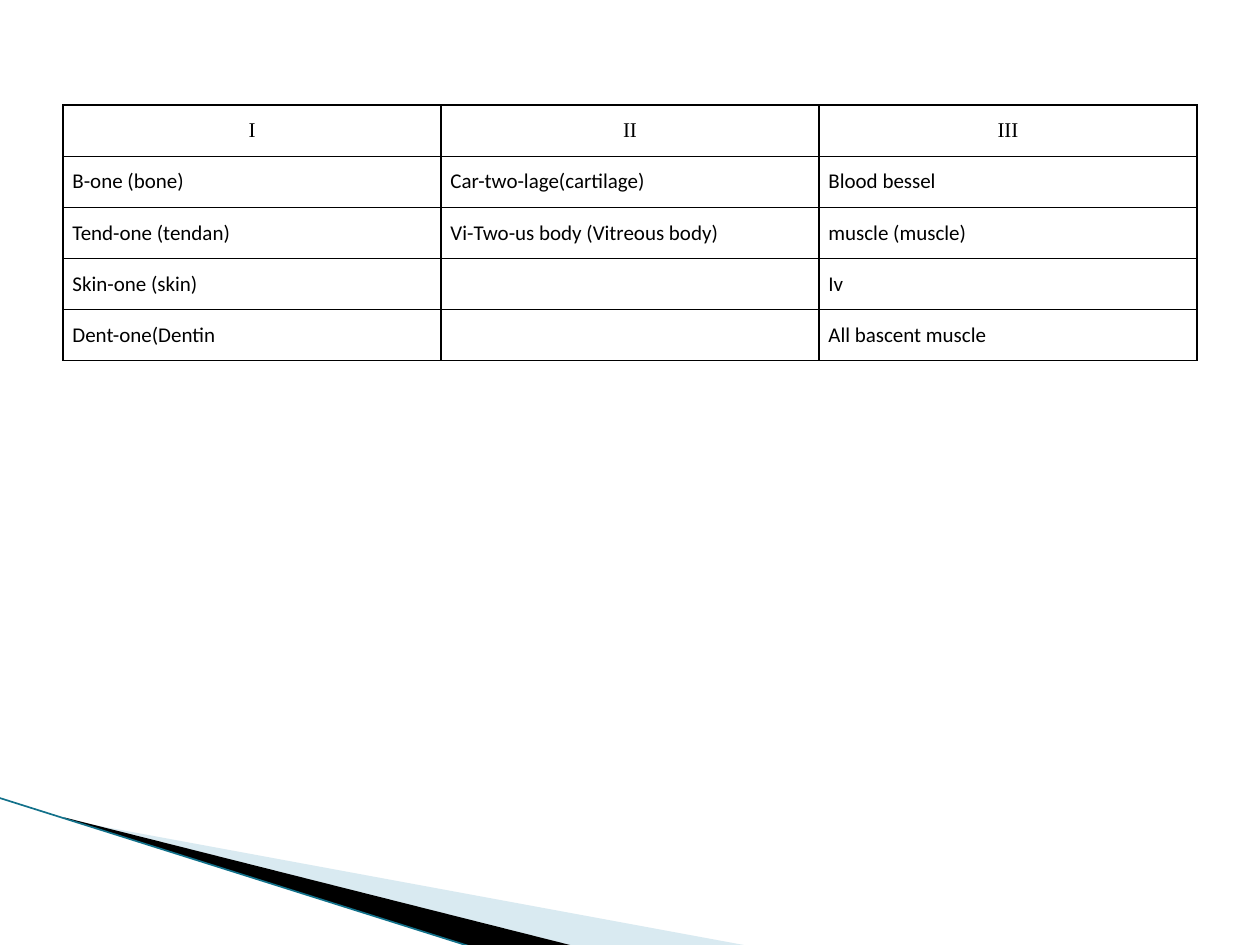
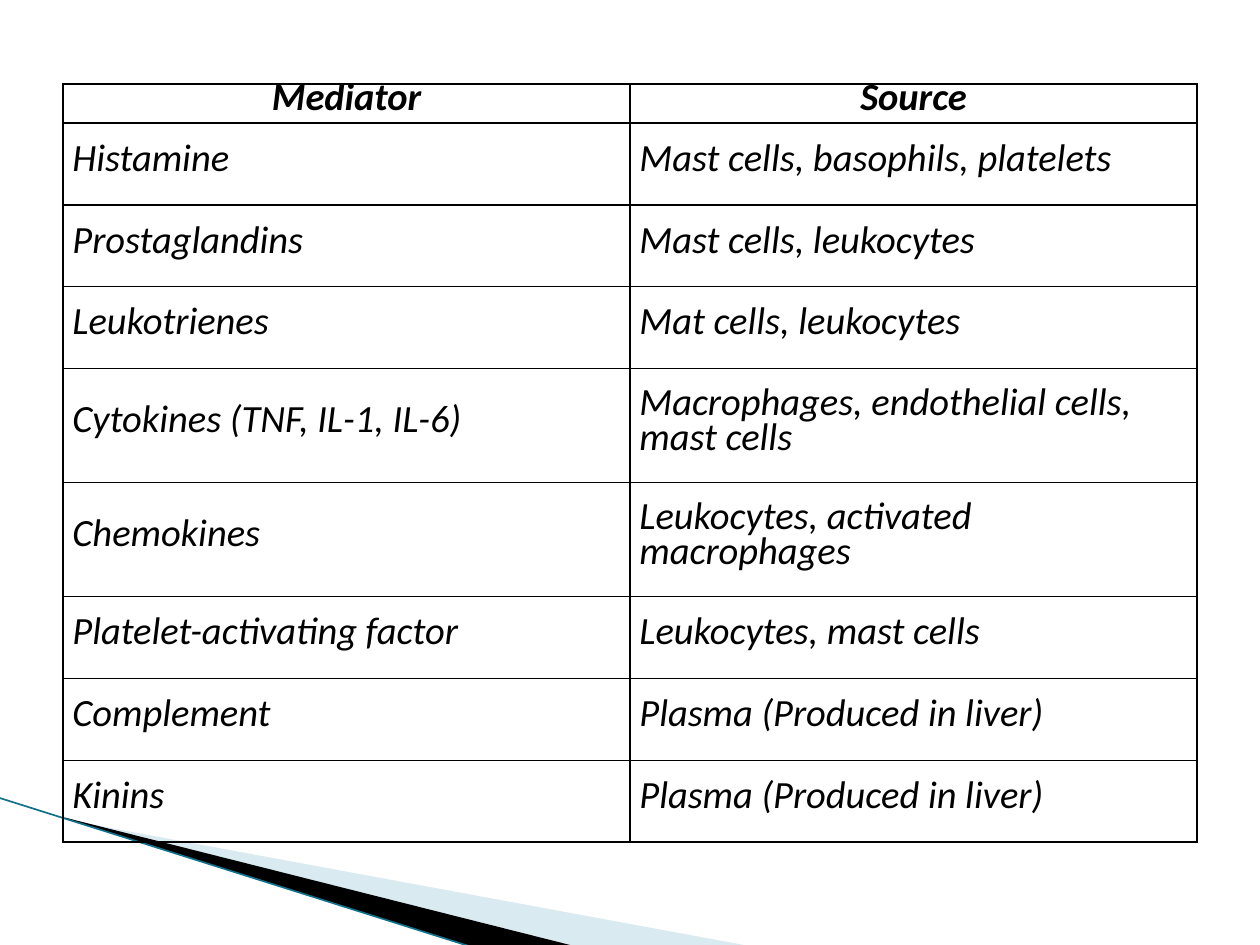
from dataclasses import dataclass

import lxml.etree
import pptx
import pptx.dml.color
import pptx.enum.shapes
import pptx.enum.text
import pptx.oxml
import pptx.oxml.ns
import pptx.util

Cm = pptx.util.Cm
Pt = pptx.util.Pt
qn = pptx.oxml.ns.qn

COLORS = {"text": "000000", "border": "000000", "pale": "A0CBDC",
          "dark": "000000", "edge": "12718A"}
TABLE_LEFT, TABLE_WIDTH = 1.27, 22.86
CELL_INSET = 0.19


@dataclass
class Wedge:
    color: str
    frame: tuple[float, float, float, float]
    points: list[tuple[float, float]]
    alpha: int = 100


@dataclass
class TableSpec:
    top: float
    row_heights: list[float]
    rows: list[tuple[str, ...]]
    size: int
    header_font: str = "Calibri"
    header_bold: bool = False
    italic: bool = False
    line_spacing: int | None = None


# Corner decoration shared by all slides
WEDGES = [
    Wedge("pale", (1.98, 13.89, 10.57, 4.01),
          [(1.4, 16.54), (15.15, 19.08), (11.6, 19.08), (1.4, 16.51)], 40),
    Wedge("dark", (-0.15, 16.08, 10.57, 2.34),
          [(1.3, 16.48), (11.61, 19.08), (9.47, 19.08), (1.3, 16.49)]),
]
EDGE = (-0.03, 16.08, 9.45, 19.07)

# Slide content
TABLES = [
    TableSpec(
        top=2.12, row_heights=[1.03] * 5, size=12, header_font="Times New Roman",
        rows=[
            ("I", "II", "III"),
            ("B-one (bone)", "Car-two-lage(cartilage)", "Blood bessel"),
            ("Tend-one (tendan)", "Vi-Two-us body (Vitreous body)", "muscle (muscle)"),
            ("Skin-one (skin)", "", "Iv"),
            ("Dent-one(Dentin", "", "All bascent muscle"),
        ]),
    TableSpec(
        top=1.69, row_heights=[0.79] + [1.65] * 3 + [2.3] * 2 + [1.65] * 3,
        size=22, header_bold=True, italic=True, line_spacing=20,
        rows=[
            ("Mediator", "Source"),
            ("Histamine", "Mast cells, basophils, platelets"),
            ("Prostaglandins", "Mast cells, leukocytes"),
            ("Leukotrienes", "Mat cells, leukocytes"),
            ("Cytokines (TNF, IL-1, IL-6)", "Macrophages, endothelial cells, mast cells"),
            ("Chemokines", "Leukocytes, activated macrophages"),
            ("Platelet-activating factor", "Leukocytes, mast cells"),
            ("Complement", "Plasma (Produced in liver)"),
            ("Kinins", "Plasma (Produced in liver)"),
        ]),
]


def rgb(name: str) -> pptx.dml.color.RGBColor:
    return pptx.dml.color.RGBColor.from_string(COLORS[name])


def set_frame(sp, frame: tuple[float, float, float, float]) -> None:
    """Give a freeform its own frame while its outline stays in place."""
    left, top, width, height = map(Cm, frame)
    dx, dy = sp.left - left, sp.top - top
    outline = sp._element.spPr.find(".//" + qn("a:path"))
    outline.set("w", str(width))
    outline.set("h", str(height))
    for pt in outline.iter(qn("a:pt")):
        pt.set("x", str(int(pt.get("x")) + dx))
        pt.set("y", str(int(pt.get("y")) + dy))
    sp.left, sp.top, sp.width, sp.height = left, top, width, height


def add_wedge(slide, wedge: Wedge) -> None:
    points = [(Cm(x), Cm(y)) for x, y in wedge.points]
    builder = slide.shapes.build_freeform(*points[0])
    builder.add_line_segments(points[1:], close=True)
    sp = builder.convert_to_shape()
    set_frame(sp, wedge.frame)
    sp.shadow.inherit = False
    sp.fill.solid()
    sp.fill.fore_color.rgb = rgb(wedge.color)
    sp.line.fill.background()
    if wedge.alpha < 100:
        color = sp._element.spPr.find(".//" + qn("a:srgbClr"))
        lxml.etree.SubElement(color, qn("a:alpha"), val=str(wedge.alpha * 1000))


def add_decoration(slide) -> None:
    for wedge in WEDGES:
        add_wedge(slide, wedge)
    line = slide.shapes.add_connector(
        pptx.enum.shapes.MSO_CONNECTOR.STRAIGHT, *map(Cm, EDGE))
    line.line.color.rgb = rgb("edge")
    line.line.width = Pt(0.95)
    lxml.etree.SubElement(line._element.spPr, qn("a:effectLst"))


def set_borders(cell) -> None:
    """Outline all four sides; borders must precede the fill in the XML."""
    tc_pr = cell._tc.get_or_add_tcPr()
    for i, side in enumerate("LRTB"):
        tc_pr.insert(i, pptx.oxml.parse_xml(
            f'<a:ln{side} {pptx.oxml.ns.nsdecls("a")} w="{Pt(1)}"><a:solidFill>'
            f'<a:srgbClr val="{COLORS["border"]}"/></a:solidFill></a:ln{side}>'))


def fill_cell(cell, text: str, spec: TableSpec, is_header: bool) -> None:
    cell.fill.background()
    set_borders(cell)
    cell.vertical_anchor = pptx.enum.text.MSO_ANCHOR.MIDDLE
    cell.margin_left = cell.margin_right = Cm(CELL_INSET)
    cell.margin_top = cell.margin_bottom = 0
    p = cell.text_frame.paragraphs[0]
    p.text = text
    p.font.size = Pt(spec.size)
    p.font.name = spec.header_font if is_header else "Calibri"
    p.font.bold = is_header and spec.header_bold
    p.font.italic = spec.italic
    p.font.color.rgb = rgb("text")
    if is_header:
        p.alignment = pptx.enum.text.PP_ALIGN.CENTER
    if spec.line_spacing:
        p.line_spacing = Pt(spec.line_spacing)


def add_grid(slide, spec: TableSpec) -> None:
    n_cols = len(spec.rows[0])
    table = slide.shapes.add_table(
        len(spec.rows), n_cols, Cm(TABLE_LEFT), Cm(spec.top),
        Cm(TABLE_WIDTH), Cm(sum(spec.row_heights))).table
    table.first_row = table.horz_banding = False
    for column in table.columns:
        column.width = Cm(TABLE_WIDTH / n_cols)
    for i, (height, texts) in enumerate(zip(spec.row_heights, spec.rows)):
        table.rows[i].height = Cm(height)
        for j, text in enumerate(texts):
            fill_cell(table.cell(i, j), text, spec, is_header=i == 0)


def main() -> None:
    prs = pptx.Presentation()
    prs.slide_width, prs.slide_height = Cm(25.4), Cm(19.05)
    for spec in TABLES:
        slide = prs.slides.add_slide(prs.slide_layouts[6])
        add_decoration(slide)
        add_grid(slide, spec)
    prs.save("out.pptx")


if __name__ == "__main__":
    main()
